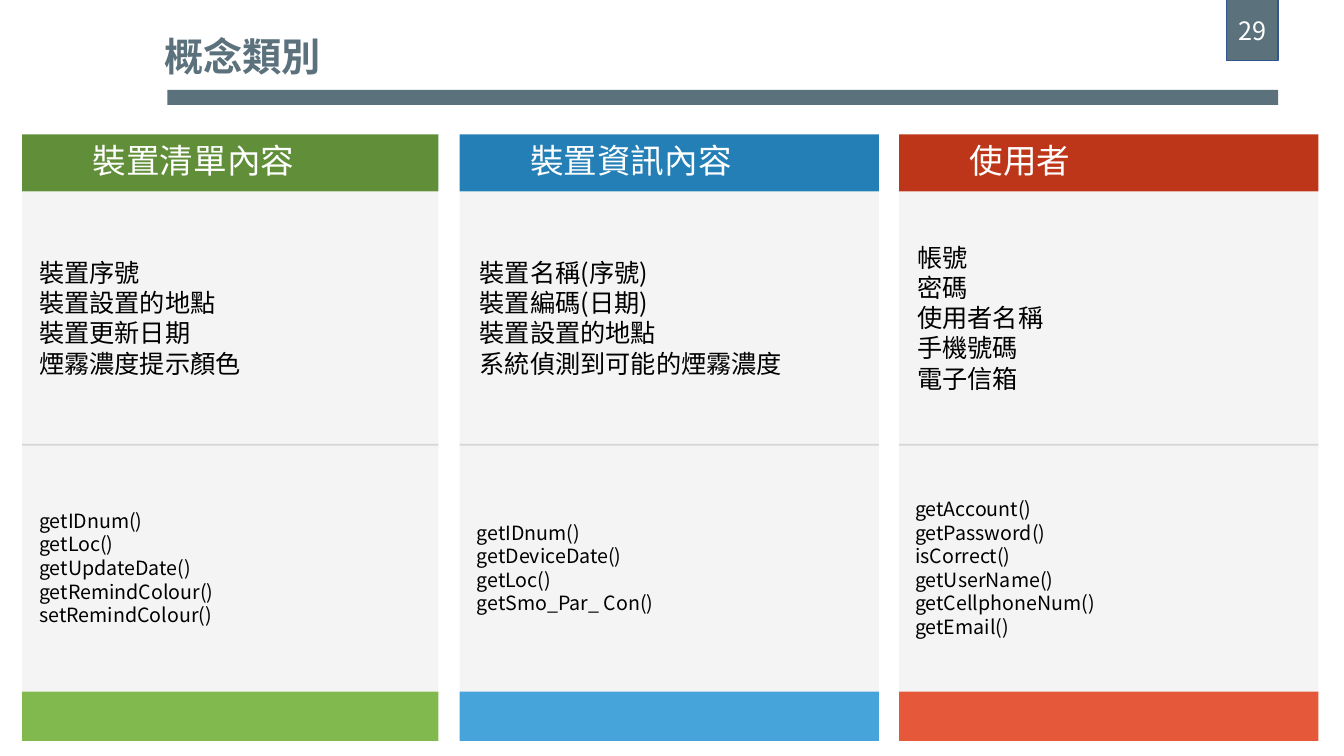
from lxml import etree
from pptx import Presentation
from pptx.dml.color import RGBColor
from pptx.enum import shapes, text
from pptx.oxml import ns
from pptx.util import Pt

FONT = "Noto Sans CJK SC"
SLATE = RGBColor(0x5B, 0x72, 0x7D)
NAVY = RGBColor(0x32, 0x54, 0x91)
PANEL = RGBColor(0xF4, 0xF4, 0xF4)
RULE = RGBColor(0xD6, 0xD6, 0xD6)
WHITE = RGBColor(0xFF, 0xFF, 0xFF)
BLACK = RGBColor(0, 0, 0)

TITLE = "概念類別"
PAGE_NUMBER = "29"
CARDS = [
    {
        "name": "裝置清單內容",
        "left": 15.8, "width": 297.4, "indents": (8.6, 8.6),
        "dark": RGBColor(0x61, 0x8E, 0x38), "light": RGBColor(0x81, 0xB9, 0x4F),
        "attributes": ["裝置序號", "裝置設置的地點", "裝置更新日期", "煙霧濃度提示顏色"],
        "methods": ["getIDnum()", "getLoc()", "getUpdateDate()",
                    "getRemindColour()", "setRemindColour()"],
    },
    {
        "name": "裝置資訊內容",
        "left": 328.3, "width": 299.5, "indents": (10.8, 8.6),
        "dark": RGBColor(0x23, 0x7F, 0xB5), "light": RGBColor(0x46, 0xA4, 0xDB),
        "attributes": ["裝置名稱(序號)", "裝置編碼(日期)", "裝置設置的地點",
                       "系統偵測到可能的煙霧濃度"],
        "methods": ["getIDnum()", "getDeviceDate()", "getLoc()", "getSmo_Par_ Con()"],
    },
    {
        "name": "使用者",
        "left": 642.2, "width": 299.5, "indents": (9.4, 7.9),
        "dark": RGBColor(0xBE, 0x36, 0x19), "light": RGBColor(0xE5, 0x58, 0x3A),
        "attributes": ["帳號", "密碼", "使用者名稱", "手機號碼", "電子信箱"],
        "methods": ["getAccount()", "getPassword()", "isCorrect()", "getUserName()",
                    "getCellphoneNum()", "getEmail()"],
    },
]

HEADER_TOP, BODY_TOP, DIVIDER_TOP, FOOTER_TOP, FOOTER_END = 96, 136.8, 317, 494, 529.2
DIVIDER_HEIGHT = 1.4
HEADER_INDENT = 46.8


def write(frame, lines, size, color, align=text.PP_ALIGN.LEFT, bold=False):
    frame.text = "\n".join(lines)
    for para in frame.paragraphs:
        para.alignment = align
        para.line_spacing = 1.0
        for span in para.runs:
            span.font.name = FONT
            span.font.size = Pt(size)
            span.font.bold = bold
            span.font.color.rgb = color
            east_asian = etree.SubElement(span.font._element, ns.qn("a:ea"))
            east_asian.set("typeface", FONT)


def add_block(parent, left, top, width, height, fill):
    block = parent.add_shape(shapes.MSO_SHAPE.RECTANGLE, Pt(left), Pt(top), Pt(width), Pt(height))
    block.shadow.inherit = False
    block.fill.solid()
    block.fill.fore_color.rgb = fill
    block.line.fill.background()
    return block


def add_label(parent, left, top, width, height, lines, size, color, align=text.PP_ALIGN.LEFT):
    box = parent.add_textbox(Pt(left), Pt(top), Pt(width), Pt(height))
    frame = box.text_frame
    frame.word_wrap = True
    frame.vertical_anchor = text.MSO_ANCHOR.MIDDLE
    frame.margin_left = frame.margin_right = frame.margin_top = frame.margin_bottom = Pt(3.6)
    write(frame, lines, size, color, align)


def add_card(page, card):
    parent = page.shapes.add_group_shape().shapes
    left, width = card["left"], card["width"]
    for top, bottom, fill in [
        (BODY_TOP, FOOTER_TOP, PANEL),
        (HEADER_TOP, BODY_TOP, card["dark"]),
        (FOOTER_TOP, FOOTER_END, card["light"]),
        (DIVIDER_TOP, DIVIDER_TOP + DIVIDER_HEIGHT, RULE),
    ]:
        add_block(parent, left, top, width, bottom - top, fill)
    add_label(parent, left + HEADER_INDENT, 100, width - 2 * HEADER_INDENT, 28,
              [card["name"]], 24, WHITE, text.PP_ALIGN.JUSTIFY)
    attribute_indent, method_indent = card["indents"]
    add_label(parent, left + attribute_indent, BODY_TOP, width, DIVIDER_TOP - BODY_TOP,
              card["attributes"], 18, BLACK)
    add_label(parent, left + method_indent, DIVIDER_TOP, width, FOOTER_TOP - DIVIDER_TOP,
              card["methods"], 14, BLACK)


def main():
    deck = Presentation()
    deck.slide_width, deck.slide_height = Pt(960), Pt(540)
    page = deck.slides.add_slide(deck.slide_layouts[5])

    title = page.shapes.title
    title.left, title.top, title.width, title.height = Pt(110.2), Pt(19.4), Pt(127.4), Pt(41)
    title.text_frame.word_wrap = False
    title.text_frame.auto_size = text.MSO_AUTO_SIZE.NONE
    title.text_frame.vertical_anchor = text.MSO_ANCHOR.TOP
    write(title.text_frame, [TITLE], 28, SLATE, bold=True)

    add_block(page.shapes, 119.6, 64.2, 793.4, 10.8, SLATE)
    for card in CARDS:
        add_card(page, card)

    badge = add_block(page.shapes, 876.2, -0.6, 36.8, 44, SLATE)
    badge.line.color.rgb = NAVY
    badge.line.width = Pt(1)
    badge.text_frame.vertical_anchor = text.MSO_ANCHOR.MIDDLE
    write(badge.text_frame, [PAGE_NUMBER], 18, WHITE, text.PP_ALIGN.CENTER)

    deck.save("out.pptx")


if __name__ == "__main__":
    main()
